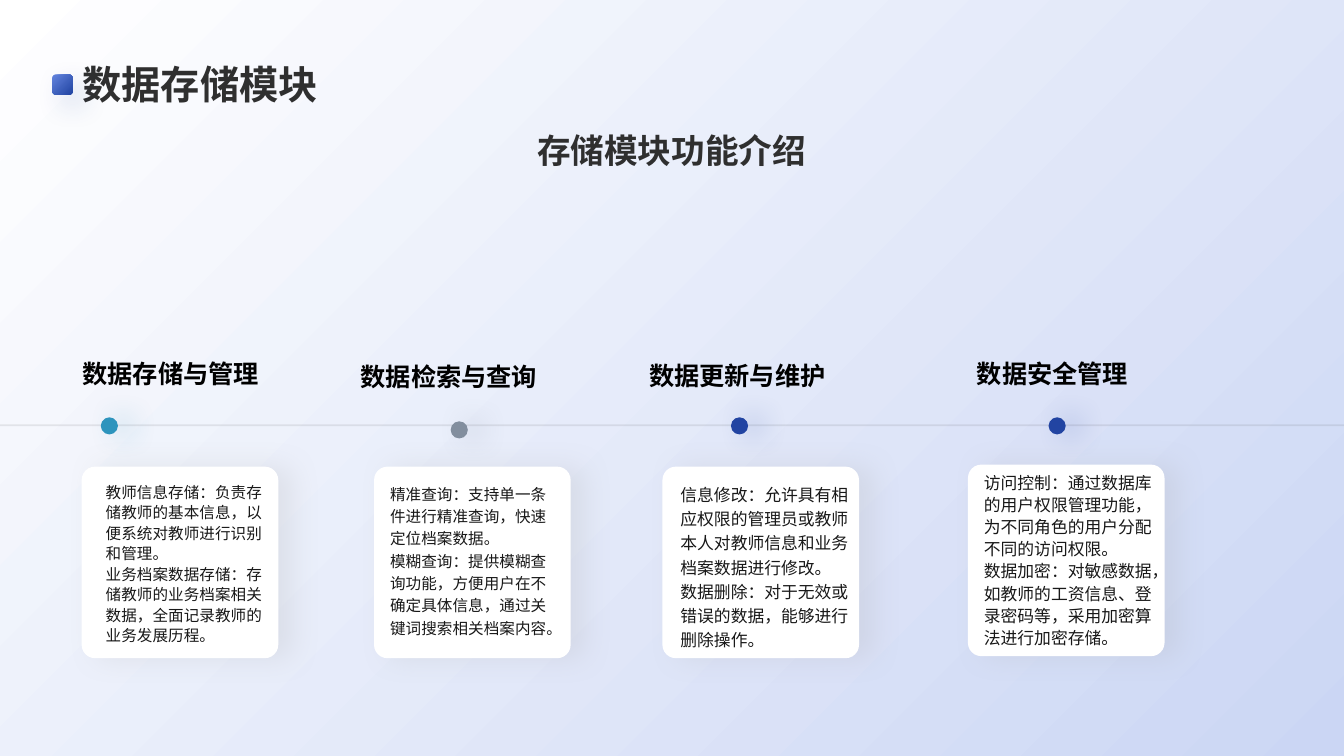
"""Build the storage module slide: a timeline of four functions with a card under each."""
import dataclasses

import pptx
import pptx.dml.color
import pptx.enum.shapes
import pptx.enum.text
import pptx.oxml
import pptx.oxml.ns
import pptx.util

TITLE = "数据存储模块"
SUBTITLE = "存储模块功能介绍"
STAGES = [
    {
        "heading": "数据存储与管理", "heading_at": (0.72, 3.5),
        "dot": "2D94BD", "dot_at": (1, 4.14), "card_at": (0.81, 4.63),
        "body_box": (0.95, 4.72, 1.81, 1.82), "size": 11.1, "spacing": 1.1,
        "body": ["教师信息存储：负责存储教师的基本信息，以便系统对教师进行识别和管理。",
                 "业务档案数据存储：存储教师的业务档案相关数据，全面记录教师的业务发展历程。"],
    },
    {
        "heading": "数据检索与查询", "heading_at": (3.48, 3.53),
        "dot": "828E9E", "dot_at": (4.47, 4.18), "card_at": (3.71, 4.63),
        "body_box": (3.77, 4.72, 1.81, 1.82), "size": 11.1, "spacing": 1.2,
        "body": ["精准查询：支持单一条件进行精准查询，快速定位档案数据。",
                 "模糊查询：提供模糊查询功能，方便用户在不确定具体信息，通过关键词搜索相关档案内容。"],
    },
    {
        "heading": "数据更新与维护", "heading_at": (6.34, 3.52),
        "dot": "2244A2", "dot_at": (7.25, 4.14), "card_at": (6.57, 4.63),
        "body_box": (6.65, 4.72, 1.95, 1.82), "size": 12, "spacing": 1.2,
        "body": ["信息修改：允许具有相应权限的管理员或教师本人对教师信息和业务档案数据进行修改。",
                 "数据删除：对于无效或错误的数据，能够进行删除操作。"],
    },
    {
        "heading": "数据安全管理", "heading_at": (9.59, 3.5),
        "dot": "2244A2", "dot_at": (10.4, 4.14), "card_at": (9.6, 4.61),
        "body_box": (9.66, 4.62, 1.95, 1.9), "size": 12, "spacing": 1.1,
        "body": ["访问控制：通过数据库的用户权限管理功能，为不同角色的用户分配不同的访问权限。",
                 "数据加密：对敏感数据，如教师的工资信息、登录密码等，采用加密算法进行加密存储。"],
    },
]

WIDTH, HEIGHT = 13.33, 7.5
TEXT_LEFT, TEXT_WIDTH = 0.72, 11.88
AXIS_Y = 4.22
DOT_SIZE = (0.17, 0.17)
CARD_SIZE = (1.95, 1.9)
HEADING_SIZE = (2.17, 0.4)


@dataclasses.dataclass(frozen=True)
class Theme:
    background: tuple = ("CBD6F4", "FFFFFF")
    marker: tuple = ("6384DE", "2244A2")
    title: str = "2F2F2F"
    heading: str = "000000"
    body: str = "181818"
    card: str = "FFFFFF"
    card_shadow: str = "A6A6A6"
    axis: str = "393939"
    text_font: str = "Arial"
    heading_font: str = "Inter"
    title_size: float = 28
    subtitle_size: float = 24
    heading_size: float = 18


THEME = Theme()
SHAPES = pptx.enum.shapes.MSO_SHAPE
ANCHOR = pptx.enum.text.MSO_ANCHOR
ALIGN = pptx.enum.text.PP_ALIGN


def rgb(value):
    return pptx.dml.color.RGBColor.from_string(value)


def inches(values):
    return [pptx.util.Inches(value) for value in values]


def fill_gradient(fill, colors, angle):
    fill.gradient()
    fill.gradient_angle = angle
    for stop, color in zip(fill.gradient_stops, colors):
        stop.color.rgb = rgb(color)


def add_shadow(shape, color, opacity, direction=0):
    shape.shadow.inherit = False
    effects = shape.element.spPr.find(pptx.oxml.ns.qn("a:effectLst"))
    effects.append(pptx.oxml.parse_xml(
        f'<a:outerShdw {pptx.oxml.ns.nsdecls("a")} blurRad="{pptx.util.Pt(20)}" '
        f'dist="{pptx.util.Pt(10)}" dir="{direction * 60000}" algn="ctr" rotWithShape="0">'
        f'<a:srgbClr val="{color}"><a:alpha val="{opacity * 1000}"/></a:srgbClr></a:outerShdw>'))


def add_plain_shape(page, kind, box, color=None):
    shape = page.shapes.add_shape(kind, *inches(box))
    shape.line.fill.background()
    if color:
        shape.fill.solid()
        shape.fill.fore_color.rgb = rgb(color)
    return shape


def write(box, lines, font, size, color, bold=False, align=ALIGN.LEFT,
          anchor=ANCHOR.TOP, spacing=None):
    frame = box.text_frame
    frame.text = "\n".join(lines)
    frame.word_wrap = True
    frame.auto_size = pptx.enum.text.MSO_AUTO_SIZE.NONE
    frame.vertical_anchor = anchor
    for para in frame.paragraphs:
        para.alignment = align
        if spacing:
            para.line_spacing = spacing
        for span in para.runs:
            span.font.name = font
            span.font.size = pptx.util.Pt(size)
            span.font.bold = bold
            span.font.color.rgb = rgb(color)


def add_title(page):
    marker = add_plain_shape(page, SHAPES.ROUNDED_RECTANGLE, (0.52, 0.74, 0.2, 0.2))
    fill_gradient(marker.fill, THEME.marker, 315)
    add_shadow(marker, THEME.marker[1], 20, 45)
    title = page.shapes.title
    title.left, title.top, title.width, title.height = inches((TEXT_LEFT, 0.14, TEXT_WIDTH, 0.98))
    write(title, [TITLE], THEME.text_font, THEME.title_size, THEME.title,
          bold=True, anchor=ANCHOR.BOTTOM)
    subtitle = page.shapes.add_textbox(*inches((TEXT_LEFT, 1.24, TEXT_WIDTH, 1.44)))
    write(subtitle, [SUBTITLE], THEME.heading_font, THEME.subtitle_size, THEME.title,
          bold=True, align=ALIGN.CENTER)


def add_axis(page):
    axis = page.shapes.add_connector(pptx.enum.shapes.MSO_CONNECTOR.STRAIGHT,
                                     *inches((0, AXIS_Y, WIDTH, AXIS_Y)))
    axis.line.width = pptx.util.Pt(1.25)
    axis.line.color.rgb = rgb(THEME.axis)
    properties = axis._element.spPr
    color = properties.find(".//" + pptx.oxml.ns.qn("a:srgbClr"))
    color.append(pptx.oxml.parse_xml(f'<a:alpha {pptx.oxml.ns.nsdecls("a")} val="10000"/>'))
    properties.append(pptx.oxml.parse_xml(f'<a:effectLst {pptx.oxml.ns.nsdecls("a")}/>'))


def add_stage(page, stage):
    dot = add_plain_shape(page, SHAPES.OVAL, stage["dot_at"] + DOT_SIZE, stage["dot"])
    add_shadow(dot, stage["dot"], 32)
    card = add_plain_shape(page, SHAPES.ROUNDED_RECTANGLE,
                           stage["card_at"] + CARD_SIZE, THEME.card)
    card.adjustments[0] = 0.07
    add_shadow(card, THEME.card_shadow, 20)
    body = page.shapes.add_textbox(*inches(stage["body_box"]))
    write(body, stage["body"], THEME.text_font, stage["size"], THEME.body,
          spacing=stage["spacing"])
    heading = page.shapes.add_textbox(*inches(stage["heading_at"] + HEADING_SIZE))
    write(heading, [stage["heading"]], THEME.heading_font, THEME.heading_size,
          THEME.heading, bold=True, anchor=ANCHOR.BOTTOM)


def main():
    deck = pptx.Presentation()
    deck.slide_width, deck.slide_height = inches((WIDTH, HEIGHT))
    page = deck.slides.add_slide(deck.slide_layouts[5])
    fill_gradient(page.background.fill, THEME.background, 135)
    add_title(page)
    add_axis(page)
    for stage in STAGES:
        add_stage(page, stage)
    deck.save("out.pptx")


if __name__ == "__main__":
    main()
